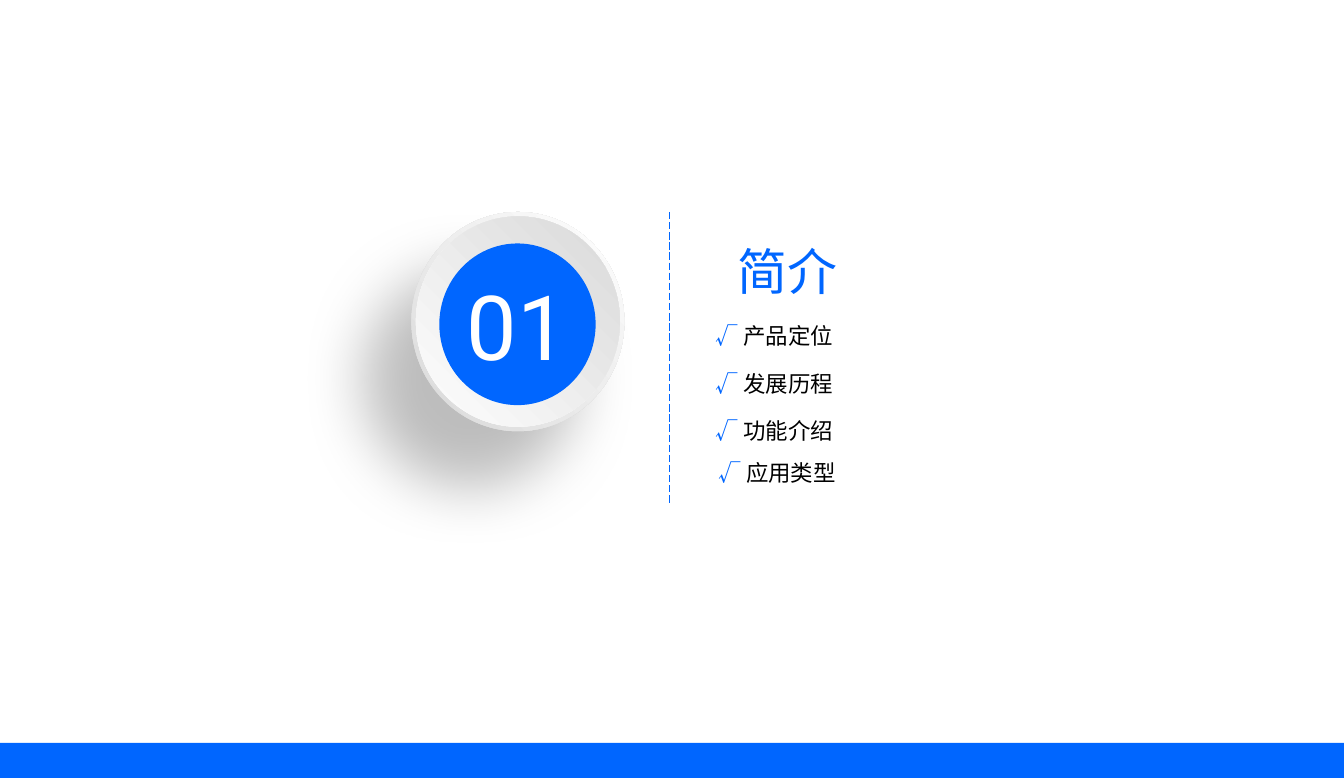
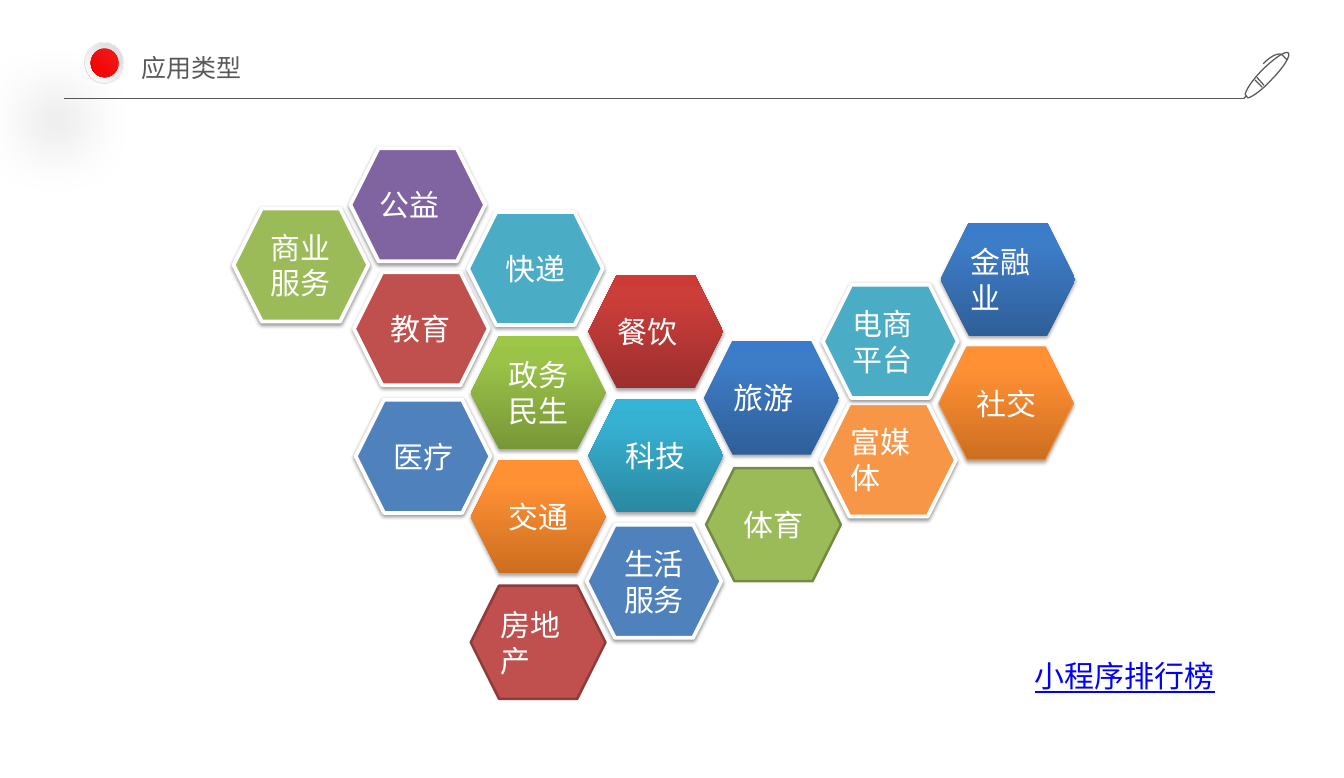
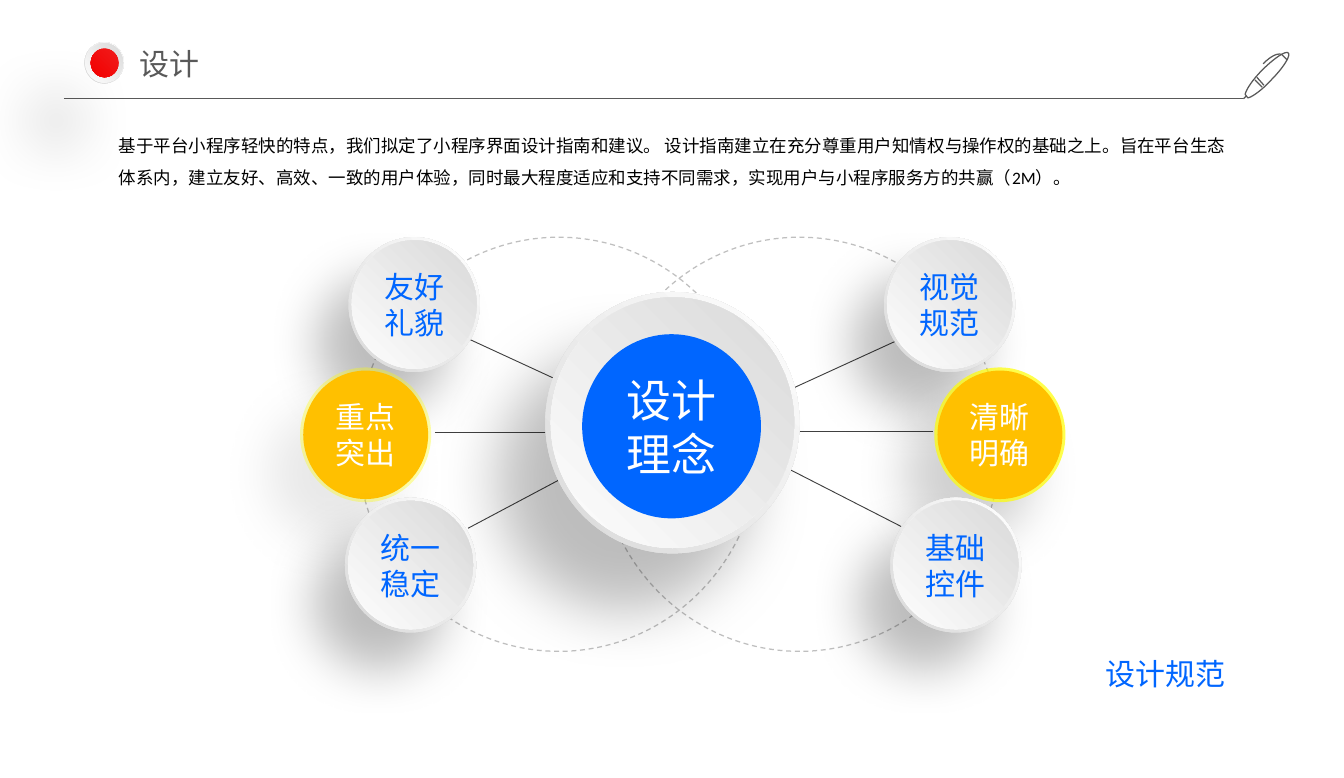
"""Build three slides on mini programs: section opener, application types, design ideas."""
from dataclasses import dataclass
from math import comb
from typing import NamedTuple, Optional

from pptx import Presentation
from pptx.dml.color import RGBColor
from pptx.enum.dml import MSO_LINE
from pptx.enum.shapes import MSO_CONNECTOR, MSO_SHAPE
from pptx.enum.text import MSO_ANCHOR, MSO_AUTO_SIZE, PP_ALIGN
from pptx.oxml import parse_xml
from pptx.oxml.ns import nsdecls, qn
from pptx.util import Inches, Pt

BLUE = RGBColor(0x00, 0x66, 0xFF)
LINK = RGBColor(0x00, 0x00, 0xFF)
WHITE = RGBColor(0xFF, 0xFF, 0xFF)
NEAR_WHITE = RGBColor(0xFE, 0xFE, 0xFE)
BLACK = RGBColor(0x00, 0x00, 0x00)
SILVER = RGBColor(0xD9, 0xD9, 0xD9)
ORBIT = RGBColor(0xBF, 0xBF, 0xBF)
GRAY = RGBColor(0x59, 0x59, 0x59)
DARK = RGBColor(0x40, 0x40, 0x40)
GOLD = RGBColor(0xFF, 0xC0, 0x00)
YELLOW = RGBColor(0xFF, 0xFF, 0x00)
RED = RGBColor(0xF2, 0x00, 0x00)
SOFT_RED = RGBColor(0xF1, 0x1B, 0x1B)
GREEN = RGBColor(0x9B, 0xBB, 0x59)
BRICK = RGBColor(0xC0, 0x50, 0x4D)
PURPLE = RGBColor(0x80, 0x64, 0xA2)
AQUA = RGBColor(0x4B, 0xAC, 0xC6)
STEEL = RGBColor(0x4F, 0x81, 0xBD)
ORANGE = RGBColor(0xF7, 0x96, 0x46)
GREEN_EDGE = RGBColor(0x73, 0x8A, 0x42)
BRICK_EDGE = RGBColor(0x8E, 0x3B, 0x39)
ORANGE_EDGE = RGBColor(0xF6, 0x92, 0x40)

CJK = "Noto Sans CJK SC"
LATIN = "Calibri"
ROBOTO = "Roboto"
DISC_INSETS = (0, 0.06)


class Box(NamedTuple):
    """Left, top, width and height in inches."""
    x: float
    y: float
    w: float
    h: float

    def inset(self, d: float) -> "Box":
        """Shrink the box by the same margin on each side."""
        return Box(self.x + d, self.y + d, self.w - 2 * d, self.h - 2 * d)


class Gradient(NamedTuple):
    """Colour stops; a corner makes it radial, none makes it vertical."""
    stops: tuple
    corner: str = ""


class Shadow(NamedTuple):
    """Opacity in percent, blur and distance in points, direction in degrees."""
    alpha: float
    blur: float
    dist: float
    angle: float


class Run(NamedTuple):
    """Text with one look."""
    text: str
    size: float
    color: RGBColor
    font: str = LATIN
    underline: Optional[bool] = None


@dataclass(frozen=True)
class Style:
    """Fill, outline and shadow of a shape."""
    fill: object = None
    line: Optional[RGBColor] = None
    width: float = 1
    shadow: Optional[Shadow] = None
    dash: Optional[MSO_LINE] = None
    alpha: int = 100


class Hexagon(NamedTuple):
    """One application type."""
    x: float
    y: float
    text: str
    style: Style
    align: PP_ALIGN = PP_ALIGN.CENTER


class Node(NamedTuple):
    """One design principle; a halo opacity marks it as stressed."""
    x: float
    y: float
    text: str
    halo: int = 0


FAR_SHADOW = Shadow(25, 50, 60, 130)
NODE_SHADOW = Shadow(25, 41, 40, 130)
EDGE_SHADOW = Shadow(38, 3.1, 1.6, 90)
GLOSS_SHADOW = Shadow(35, 3.1, 1.8, 90)
TOP_RIGHT = 'l="100000" b="100000"'
BOTTOM_LEFT = 't="100000" r="100000"'
RIM = Gradient(((0, WHITE), (100, SILVER)), TOP_RIGHT)
FACE = Gradient(((0, SILVER), (100, NEAR_WHITE)), TOP_RIGHT)
RED_DOT = Gradient(((0, RED), (100, SOFT_RED)), BOTTOM_LEFT)


def outlined(color: RGBColor) -> Style:
    """Flat tile with a white edge."""
    return Style(color, WHITE, 3, EDGE_SHADOW)


def glossy(low: str, mid: str, high: str, line: Optional[RGBColor] = None) -> Style:
    """Tile shaded from bottom to top."""
    stops = zip((0, 80, 100), map(RGBColor.from_string, (low, mid, high)))
    return Style(Gradient(tuple(stops)), line, 0.75, GLOSS_SHADOW)


GLOSS_BLUE = glossy("2F5F99", "3D7CC7", "3A7CCB")
GLOSS_ORANGE = ("CC6E20", "FF9034", "FF9136")
LEFT = PP_ALIGN.LEFT

HEXAGONS = (
    Hexagon(2.6, 2.32, "商业服务", outlined(GREEN)),
    Hexagon(3.94, 3.03, " 教育", outlined(BRICK), LEFT),
    Hexagon(3.9, 1.65, "公益", outlined(PURPLE), LEFT),
    Hexagon(5.24, 3.74, "政务民生", glossy("779737", "9BC348", "9DC746")),
    Hexagon(5.21, 2.36, "快递", outlined(AQUA)),
    Hexagon(6.55, 3.06, "餐饮", glossy("9C2F2D", "CB3E3A", "CE3B37"), LEFT),
    Hexagon(5.24, 5.12, "交通", glossy(*GLOSS_ORANGE)),
    Hexagon(6.55, 4.44, "科技", glossy("2A88A2", "37B1D2", "34B4D6")),
    Hexagon(10.47, 2.48, "金融业", GLOSS_BLUE, LEFT),
    Hexagon(9.14, 4.49, "富媒体", outlined(ORANGE), LEFT),
    Hexagon(6.53, 5.84, "生活服务", outlined(STEEL)),
    Hexagon(7.84, 3.8, "旅游", GLOSS_BLUE, LEFT),
    Hexagon(7.86, 5.21, "体育", Style(GREEN, GREEN_EDGE, 2)),
    Hexagon(9.16, 3.17, "电商平台", outlined(AQUA), LEFT),
    Hexagon(3.96, 4.45, "医疗", outlined(STEEL)),
    Hexagon(10.45, 3.86, "社交", glossy(*GLOSS_ORANGE, ORANGE_EDGE)),
    Hexagon(5.24, 6.52, "房地产", Style(BRICK, BRICK_EDGE, 2), LEFT),
)

NODES = (
    Node(3.88, 2.64, "友好礼貌"),
    Node(3.34, 4.09, "重点突出", 34),
    Node(3.84, 5.54, "统一稳定"),
    Node(9.84, 2.64, "视觉规范"),
    Node(10.4, 4.09, "清晰明确", 70),
    Node(9.91, 5.54, "基础控件"),
)

ARROWS = (
    (5.21, 3.77, 6.51, 4.37),
    (4.84, 4.81, 6.42, 4.81),
    (5.21, 5.88, 6.51, 5.19),
    (10.03, 5.86, 8.72, 5.19),
    (10.39, 4.8, 8.72, 4.8),
    (10.03, 3.77, 8.72, 4.37),
)

TOPICS = ((7.87, 3.54, "产品定位"), (7.87, 4.07, "发展历程"),
          (7.87, 4.59, "功能介绍"), (7.9, 5.06, "应用类型"))

PEN_STROKES = (
    (((14.05, 0.97), (13.97, 0.89)),),
    (((13.99, 0.86), (14.07, 0.95)),),
    (
        ((14.34, 0.59), (14.31, 0.56), (14.18, 0.65), (14.05, 0.78)),
        ((14.05, 0.78), (13.94, 0.89), (13.87, 1), (13.86, 1.05)),
        ((13.86, 1.05), (13.89, 1.09)),
        ((13.89, 1.09), (13.94, 1.08), (14.05, 1), (14.15, 0.89)),
        ((14.15, 0.89), (14.28, 0.76), (14.37, 0.62), (14.34, 0.59)),
    ),
    (((13.87, 1.07), (13.84, 1.1)),),
    (
        ((14.33, 0.67), (14.27, 0.61)),
        ((14.27, 0.61), (14.27, 0.61), (14.21, 0.56), (14.06, 0.71)),
    ),
)

INTRO = ("基于平台小程序轻快的特点，我们拟定了小程序界面设计指南和建议。 "
         "设计指南建立在充分尊重用户知情权与操作权的基础之上。旨在平台生态体系内，"
         "建立友好、高效、一致的用户体验，同时最大程度适应和支持不同需求，"
         "实现用户与小程序服务方的共赢（2M）。")


def write(tf, runs: list, align=PP_ALIGN.LEFT, insets: tuple = (0.1, 0.05), **formats) -> None:
    """Fill a text frame with one paragraph of runs."""
    dx, dy = map(Inches, insets)
    frame = {"margin_left": dx, "margin_right": dx, "margin_top": dy,
             "margin_bottom": dy, "word_wrap": True}
    for key, value in frame.items():
        setattr(tf, key, value)
    p = tf.paragraphs[0]
    for key, value in {"alignment": align, **formats}.items():
        setattr(p, key, value)
    for run in runs:
        r = p.add_run()
        r.text = run.text
        looks = {"name": run.font, "size": Pt(run.size), "underline": run.underline}
        for key, value in looks.items():
            setattr(r.font, key, value)
        r.font.color.rgb = run.color
        r.font._element.append(parse_xml(f'<a:ea {nsdecls("a")} typeface="{CJK}"/>'))


def add_text(sl, box: Box, runs: list, wrap: bool = True, **formats) -> None:
    """Add a text box that grows with its text."""
    tf = sl.shapes.add_textbox(*map(Inches, box)).text_frame
    write(tf, runs, **formats)
    for key, value in {"word_wrap": wrap, "auto_size": MSO_AUTO_SIZE.SHAPE_TO_FIT_TEXT,
                       "vertical_anchor": MSO_ANCHOR.TOP}.items():
        setattr(tf, key, value)


def paint_gradient(spPr, gradient: Gradient) -> None:
    """Insert a gradient fill into shape properties."""
    stops = "".join(f'<a:gs pos="{pos * 1000}"><a:srgbClr val="{color}"/></a:gs>'
                    for pos, color in gradient.stops)
    way = (f'<a:path path="circle"><a:fillToRect {gradient.corner}/></a:path>'
           if gradient.corner else '<a:lin ang="16200000" scaled="0"/>')
    fill = parse_xml(f'<a:gradFill {nsdecls("a")} rotWithShape="1">'
                     f'<a:gsLst>{stops}</a:gsLst>{way}</a:gradFill>')
    spPr.insert_element_before(fill, "a:ln", "a:effectLst")


def apply_style(sp, style: Style) -> None:
    """Set fill, outline and shadow."""
    spPr = sp._element.spPr
    if isinstance(style.fill, Gradient):
        paint_gradient(spPr, style.fill)
    elif style.fill is None:
        sp.fill.background()
    else:
        sp.fill.solid()
        sp.fill.fore_color.rgb = style.fill
        if style.alpha < 100:
            spPr.find(qn("a:solidFill"))[0].append(
                parse_xml(f'<a:alpha {nsdecls("a")} val="{style.alpha * 1000}"/>'))
    if style.line is None:
        sp.line.fill.background()
    else:
        sp.line.color.rgb = style.line
        sp.line.width = Pt(style.width)
        sp.line.dash_style = style.dash
    sp.shadow.inherit = False
    if style.shadow:
        alpha, blur, dist, angle = style.shadow
        spPr.find(qn("a:effectLst")).append(parse_xml(
            f'<a:outerShdw {nsdecls("a")} blurRad="{int(Pt(blur))}" dist="{int(Pt(dist))}" '
            f'dir="{angle * 60000}" algn="ctr" rotWithShape="0"><a:srgbClr val="{BLACK}">'
            f'<a:alpha val="{alpha * 1000}"/></a:srgbClr></a:outerShdw>'))


def add_shape(owner, kind: MSO_SHAPE, box: Box, style: Style, run: Optional[Run] = None, **formats):
    """Add a preset shape, with text if given."""
    sp = owner.shapes.add_shape(kind, *map(Inches, box))
    apply_style(sp, style)
    if run:
        write(sp.text_frame, [run], **formats)
    return sp


def add_line(sl, ends: tuple, color: RGBColor, dash=None, arrow: bool = False) -> None:
    """Add a thin straight connector."""
    cx = sl.shapes.add_connector(MSO_CONNECTOR.STRAIGHT, *map(Inches, ends))
    cx.line.color.rgb = color
    cx.line.width = Pt(0.75)
    cx.line.dash_style = dash
    spPr = cx._element.spPr
    if arrow:
        spPr.find(qn("a:ln")).append(parse_xml(f'<a:tailEnd {nsdecls("a")} type="arrow"/>'))
    spPr.append(parse_xml(f'<a:effectLst {nsdecls("a")}/>'))


def add_knob(sl, box: Box, rim: float, core: Box, fill, run: Optional[Run] = None) -> None:
    """Add a raised round button: rim, face and coloured core."""
    grp = sl.shapes.add_group_shape()
    add_shape(grp, MSO_SHAPE.OVAL, box, Style(RIM, shadow=FAR_SHADOW))
    add_shape(grp, MSO_SHAPE.OVAL, box.inset(rim), Style(FACE))
    add_shape(grp, MSO_SHAPE.OVAL, core, Style(fill), run,
              align=PP_ALIGN.CENTER, insets=DISC_INSETS)


def add_node(sl, node: Node) -> None:
    """Add a small round button carrying a principle."""
    box = Box(node.x, node.y, 1.46, 1.5)
    if node.halo:
        rim, face, color = Style(YELLOW, shadow=NODE_SHADOW, alpha=node.halo), GOLD, WHITE
    else:
        rim, face, color = Style(RIM, shadow=NODE_SHADOW), FACE, BLUE
    grp = sl.shapes.add_group_shape()
    add_shape(grp, MSO_SHAPE.OVAL, box, rim)
    add_shape(grp, MSO_SHAPE.OVAL, box.inset(0.035), Style(face),
              Run(node.text, 24, color, ROBOTO), align=PP_ALIGN.CENTER, insets=(0, 0.05))


def curve_points(controls: tuple, steps: int = 12) -> list:
    """Sample a Bézier curve of any degree, leaving out its start."""
    n = len(controls) - 1
    return [tuple(Inches(sum(comb(n, i) * (1 - t) ** (n - i) * t ** i * c[axis]
                             for i, c in enumerate(controls))) for axis in (0, 1))
            for t in (k / steps for k in range(1, steps + 1))]


def add_pen(sl) -> None:
    """Draw the pen at the end of the title rule."""
    fb = None
    for stroke in PEN_STROKES:
        start = tuple(map(Inches, stroke[0][0]))
        if fb is None:
            fb = sl.shapes.build_freeform(*start, scale=1.0)
        else:
            fb.move_to(*start)
        fb.add_line_segments([pt for curve in stroke for pt in curve_points(curve)], close=False)
    apply_style(fb.convert_to_shape(), Style(line=GRAY))


def add_header(sl, title: str, size: float, x: float, y: float) -> None:
    """Add the title with its rule, pen and red button."""
    add_line(sl, (0.71, 1.1, 13.84, 1.1), GRAY)
    add_pen(sl)
    add_text(sl, Box(x, y, 2.65, 0.5), [Run(title, size, GRAY, CJK)], insets=(0.13, 0.07))
    add_knob(sl, Box(0.94, 0.47, 0.44, 0.46), 0.01, Box(1.01, 0.54, 0.31, 0.32), RED_DOT)


def build_section(sl) -> None:
    """Section opener with its topics."""
    add_shape(sl, MSO_SHAPE.RECTANGLE, Box(0, 8.27, 14.96, 0.39), Style(BLUE))
    add_text(sl, Box(8.11, 2.63, 3.65, 0.77), [Run("简介", 40, BLUE, CJK)])
    add_knob(sl, Box(4.58, 2.36, 2.37, 2.44), 0.05, Box(4.89, 2.71, 1.74, 1.8), BLUE,
             Run("01", 72, WHITE, ROBOTO))
    add_line(sl, (7.45, 2.36, 7.45, 5.61), BLUE, MSO_LINE.LONG_DASH)
    for x, y, topic in TOPICS:
        add_text(sl, Box(x, y, 1.68, 0.4), [Run("√ ", 18, BLUE, CJK), Run(topic, 18, BLACK, CJK)])


def build_types(sl) -> None:
    """Honeycomb of application types."""
    add_header(sl, "应用类型", 20, 1.44, 0.51)
    for x, y, text, style, align in HEXAGONS:
        add_shape(sl, MSO_SHAPE.HEXAGON, Box(x, y, 1.5, 1.26), style,
                  Run(text, 24, WHITE), align=align)
    add_text(sl, Box(11.42, 7.27, 2.22, 0.5),
             [Run("小程序排行榜", 24, LINK, underline=True)], wrap=False)


def build_design(sl) -> None:
    """Design idea surrounded by its principles."""
    add_header(sl, "设计", 24, 1.42, 0.44)
    for x in (3.98, 6.66):
        add_shape(sl, MSO_SHAPE.OVAL, Box(x, 2.64, 4.48, 4.61),
                  Style(line=ORBIT, dash=MSO_LINE.DASH))
    for ends in ARROWS:
        add_line(sl, ends, DARK, arrow=True)
    for node in NODES:
        add_node(sl, node)
    add_text(sl, Box(1.21, 1.33, 12.55, 0.82), [Run(INTRO, 14, BLACK)],
             insets=(0.11, 0.06), line_spacing=1.5)
    add_knob(sl, Box(6.07, 3.25, 2.83, 2.91), 0.06, Box(6.48, 3.72, 1.99, 2.05), BLUE,
             Run("设计理念", 36, WHITE, ROBOTO))
    add_text(sl, Box(12.21, 7.25, 1.55, 0.5), [Run("设计规范", 24, BLUE)], wrap=False)


def main() -> None:
    """Build and save the presentation."""
    prs = Presentation()
    prs.slide_width, prs.slide_height = Inches(14.96), Inches(8.66)
    for build in (build_section, build_types, build_design):
        build(prs.slides.add_slide(prs.slide_layouts[6]))
    prs.save("out.pptx")


if __name__ == "__main__":
    main()
